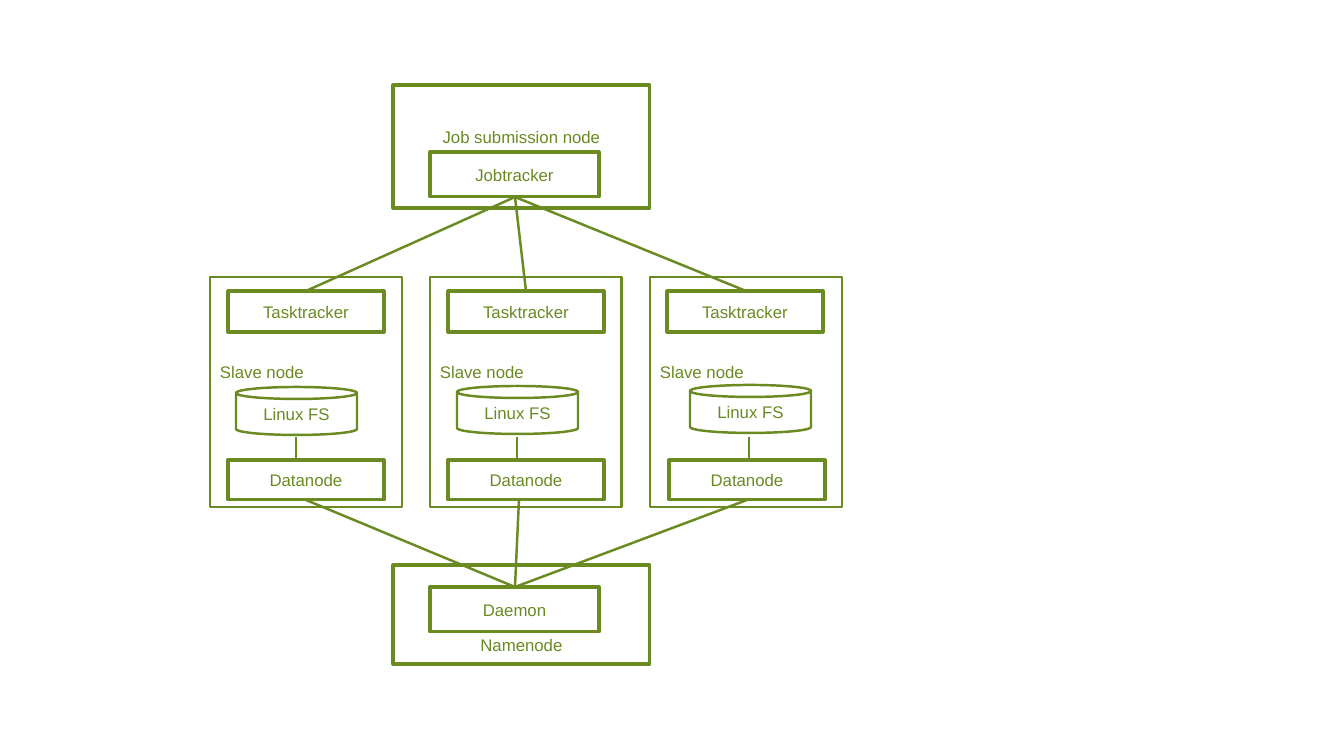
from lxml import etree
from pptx import Presentation
from pptx.dml.color import RGBColor
from pptx.enum.shapes import MSO_CONNECTOR, MSO_SHAPE
from pptx.enum.text import MSO_ANCHOR, PP_ALIGN
from pptx.oxml.ns import qn
from pptx.util import Emu, Pt

RECT, CAN = MSO_SHAPE.RECTANGLE, MSO_SHAPE.CAN
STRAIGHT = MSO_CONNECTOR.STRAIGHT
MIDDLE = MSO_ANCHOR.MIDDLE
LEFT, CENTER = PP_ALIGN.LEFT, PP_ALIGN.CENTER

PX = 914400 / 100.8
COLORS = {"green": "6A8A22", "white": "FFFFFF"}
FONT = "Arial"

SLAVE_LEFT, SLAVE_TOP, SLAVE_PITCH = 210, 277, 220
# Offsets inside each slave node: tasktracker, datanode, file system (x, y), stem
SLAVE_OFFSETS = [
    (18, 18, (26, 110), 86),
    (18, 18, (27, 109), 87),
    (17, 19, (40, 108), 99),
]
DATANODE_LINK_X = [306, 519, 747]


def px(length):
    return Emu(round(length * PX))


def color(name):
    return RGBColor.from_string(COLORS[name])


def add_node(slide, box, label, kind=RECT, weight=2.25, filled=True,
             align=CENTER, pad_top=5, pad_bottom=5):
    """Outlined shape whose label is shifted up or down by its padding."""
    node = slide.shapes.add_shape(kind, *map(px, box))
    node.shadow.inherit = False
    if filled:
        node.fill.solid()
        node.fill.fore_color.rgb = color("white")
    else:
        node.fill.background()
    node.line.color.rgb = color("green")
    node.line.width = Pt(weight)

    frame = node.text_frame
    frame.word_wrap = True
    frame.vertical_anchor = MIDDLE
    frame.margin_top, frame.margin_bottom = px(pad_top), px(pad_bottom)
    paragraph = frame.paragraphs[0]
    paragraph.alignment = align
    run = paragraph.add_run()
    run.text = label
    run.font.name = FONT
    run.font.size = Pt(12)
    run.font.color.rgb = color("green")


def add_link(slide, start, end):
    link = slide.shapes.add_connector(STRAIGHT, *map(px, (*start, *end)))
    link.line.color.rgb = color("green")
    link.line.width = Pt(1.75)
    etree.SubElement(link._element.spPr, qn("a:effectLst"))


def add_job_node(slide, left, top):
    """Returns the point where the links to the tasktrackers start."""
    add_node(slide, (left, top, 257, 123), "Job submission node", pad_bottom=25)
    add_node(slide, (left + 37, top + 67, 169, 45), "Jobtracker")
    return left + 122, top + 112


def add_namenode(slide, left, top):
    """Returns the point where the links from the datanodes end."""
    add_node(slide, (left, top, 257, 99), "Namenode", pad_top=65)
    add_node(slide, (left + 37, top + 22, 169, 45), "Daemon")
    return left + 122, top + 22


def add_slave_node(slide, left, top, offsets):
    tracker_x, datanode_x, (disk_x, disk_y), stem_x = offsets
    add_node(slide, (left, top, 192, 230), "Slave node", weight=2,
             filled=False, align=LEFT, pad_bottom=45)
    add_node(slide, (left + tracker_x, top + 14, 156, 41), "Tasktracker")
    add_node(slide, (left + datanode_x, top + 183, 156, 40), "Datanode")
    add_node(slide, (left + disk_x, top + disk_y, 121, 48), "Linux FS",
             kind=CAN, weight=1.75)
    add_link(slide, (left + stem_x, top + 160), (left + stem_x, top + 181))


def add_cluster(slide):
    jobtracker = add_job_node(slide, 393, 85)
    daemon = add_namenode(slide, 393, 565)
    for i, (offsets, datanode_x) in enumerate(zip(SLAVE_OFFSETS, DATANODE_LINK_X)):
        left = SLAVE_LEFT + i * SLAVE_PITCH
        add_slave_node(slide, left, SLAVE_TOP, offsets)
        add_link(slide, jobtracker, (left + 96, SLAVE_TOP + 14))
        add_link(slide, (datanode_x, SLAVE_TOP + 223), daemon)


def main():
    deck = Presentation()
    deck.slide_width, deck.slide_height = px(1344), px(756)
    add_cluster(deck.slides.add_slide(deck.slide_layouts[6]))
    deck.save("out.pptx")


if __name__ == "__main__":
    main()
